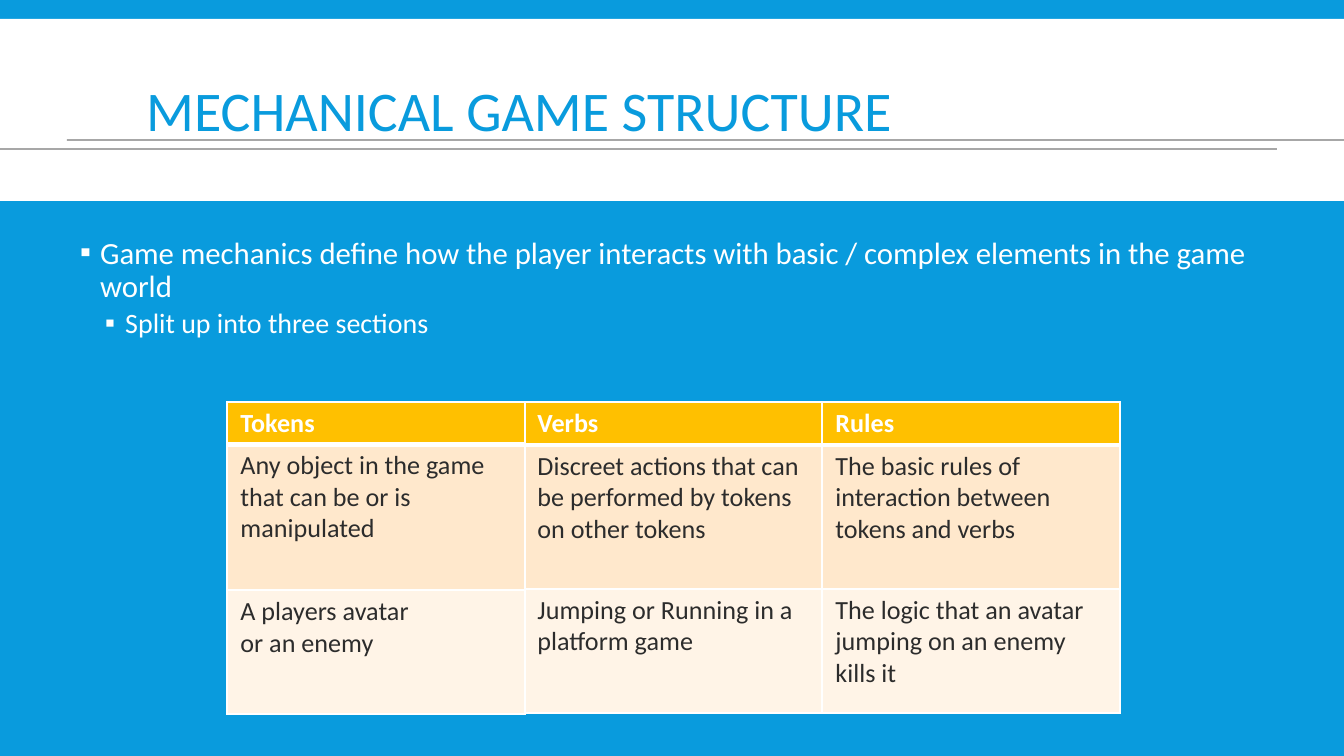
from lxml import etree
from pptx import Presentation
from pptx import util as u
from pptx.dml.color import RGBColor
from pptx.enum import shapes, text
from pptx.oxml.ns import qn

PX = 6804  # EMU per px
FONT = "Calibri"
COLORS = {"blue": "099BDD", "white": "FFFFFF", "ink": "1D1D1D", "text": "2C2C2C",
          "header": "FFC000", "odd": "FFE8CC", "even": "FFF4E7"}

TITLE = "MECHANICAL GAME STRUCTURE"
# text, size, left margin px, space before, space after
BULLETS = [
    ("Game mechanics define how the player interacts with basic / complex "
     "elements in the game world", 16.5, 20, 0, 1.5),
    ("Split up into three sections", 15, 45, 1.5, 3),
]
# left px, row heights px, rows of cells
TABLES = [
    (524, (43, 144, 124), [
        ("Verbs", "Rules"),
        ("Discreet actions that can be performed by tokens on other tokens",
         "The basic rules of interaction between tokens and verbs"),
        ("Jumping or Running in a platform game",
         "The logic that an avatar jumping on an enemy kills it"),
    ]),
    (227, (41, 146, 124), [
        ("Tokens",),
        ("Any object in the game that can be or is manipulated",),
        ("A players avatar\nor an enemy",),
    ]),
]
TABLE_TOP, COLUMN_WIDTH = 402, 298
RULES = [(0, 149, 1277), (67, 140, 1344)]  # left, y, right


def px(*values):
    return [u.Emu(v * PX) for v in values]


def rgb(name):
    return RGBColor.from_string(COLORS[name])


def style(paragraph, size, color, bold=False):
    for run in paragraph.runs:
        run.font.name, run.font.size, run.font.bold = FONT, u.Pt(size), bold
        run.font.color.rgb = rgb(color)


def add_bullet(paragraph, margin):
    props = paragraph._p.get_or_add_pPr()
    props.set("marL", str(margin * PX))
    props.set("indent", str(-20 * PX))
    color = etree.SubElement(props, qn("a:buClr"))
    etree.SubElement(color, qn("a:srgbClr")).set("val", COLORS["white"])
    etree.SubElement(props, qn("a:buFont")).set("typeface", "Wingdings")
    props[-1].set("typeface", FONT)
    etree.SubElement(props, qn("a:buChar")).set("char", "▪")


def add_borders(cell, row):
    props = cell._tc.get_or_add_tcPr()
    widths = {"lnL": 1, "lnR": 1, "lnT": 3 if row == 1 else 1, "lnB": 3 if row == 0 else 1}
    for side, width in widths.items():
        line = etree.SubElement(props, qn("a:" + side))
        line.set("w", str(u.Pt(width)))
        fill = etree.SubElement(line, qn("a:solidFill"))
        etree.SubElement(fill, qn("a:srgbClr")).set("val", COLORS["white"])


prs = Presentation()
prs.slide_width, prs.slide_height = px(1344, 756)
slide = prs.slides.add_slide(prs.slide_layouts[6])
slide.background.fill.solid()
slide.background.fill.fore_color.rgb = rgb("blue")

# Title band and its two rules
band = slide.shapes.add_shape(shapes.MSO_SHAPE.RECTANGLE, *px(0, 19, 1344, 182))
band.shadow.inherit = False
band.fill.solid()
band.fill.fore_color.rgb = rgb("white")
band.line.fill.background()
for left, y, right in RULES:
    rule = slide.shapes.add_connector(shapes.MSO_CONNECTOR.STRAIGHT, *px(left, y, right, y))
    rule.line.width = u.Pt(1)
    rule.line.color.rgb = rgb("ink")
    ink = rule._element.spPr.find(".//" + qn("a:srgbClr"))
    etree.SubElement(ink, qn("a:alpha")).set("val", "38000")
    etree.SubElement(rule._element.spPr, qn("a:effectLst"))

# Title
title = slide.shapes.add_textbox(*px(133, 31, 1079, 167)).text_frame
title.word_wrap = True
title.vertical_anchor = text.MSO_ANCHOR.MIDDLE
title.text = TITLE
title.paragraphs[0].line_spacing = 0.85
style(title.paragraphs[0], 30, "blue")

# Bullets
body = slide.shapes.add_textbox(*px(67, 231, 1210, 226)).text_frame
body.word_wrap = True
body.text = "\n".join(bullet[0] for bullet in BULLETS)
for level, (paragraph, bullet) in enumerate(zip(body.paragraphs, BULLETS)):
    _, size, margin, before, after = bullet
    add_bullet(paragraph, margin)
    paragraph.level = level
    paragraph.line_spacing = 0.9
    paragraph.space_before, paragraph.space_after = u.Pt(before), u.Pt(after)
    style(paragraph, size, "white")

# Tables, side by side
for left, heights, rows in TABLES:
    columns = len(rows[0])
    table = slide.shapes.add_table(
        len(rows), columns,
        *px(left, TABLE_TOP, COLUMN_WIDTH * columns, sum(heights))).table
    for column in table.columns:
        column.width = u.Emu(COLUMN_WIDTH * PX)
    for r, (height, words) in enumerate(zip(heights, rows)):
        table.rows[r].height = u.Emu(height * PX)
        for c, wording in enumerate(words):
            cell = table.cell(r, c)
            cell.margin_left = cell.margin_right = u.Inches(0.1)
            cell.margin_top = cell.margin_bottom = u.Inches(0.04)
            add_borders(cell, r)
            cell.fill.solid()
            cell.fill.fore_color.rgb = rgb(("header", "odd", "even")[r])
            cell.text_frame.text = wording
            for paragraph in cell.text_frame.paragraphs:
                style(paragraph, 14, "text" if r else "white", bold=r == 0)

prs.save("out.pptx")
